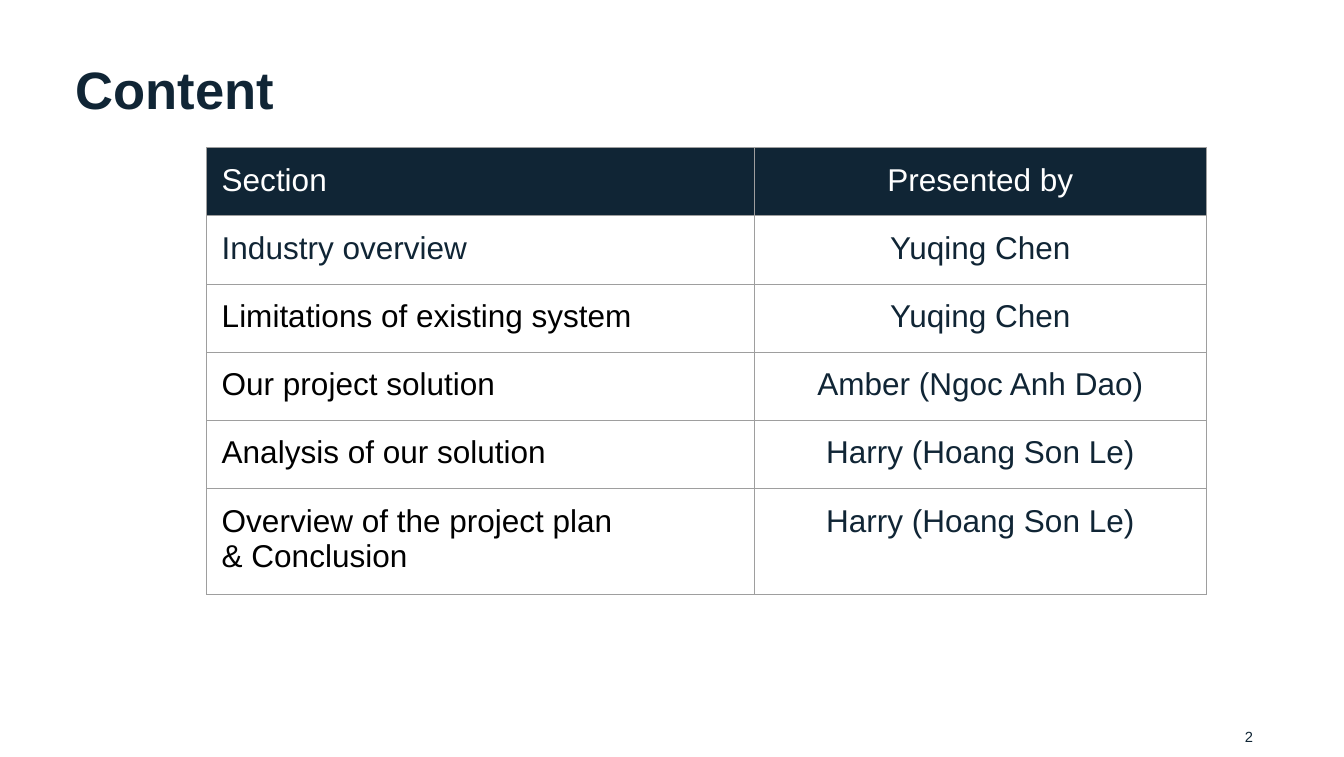
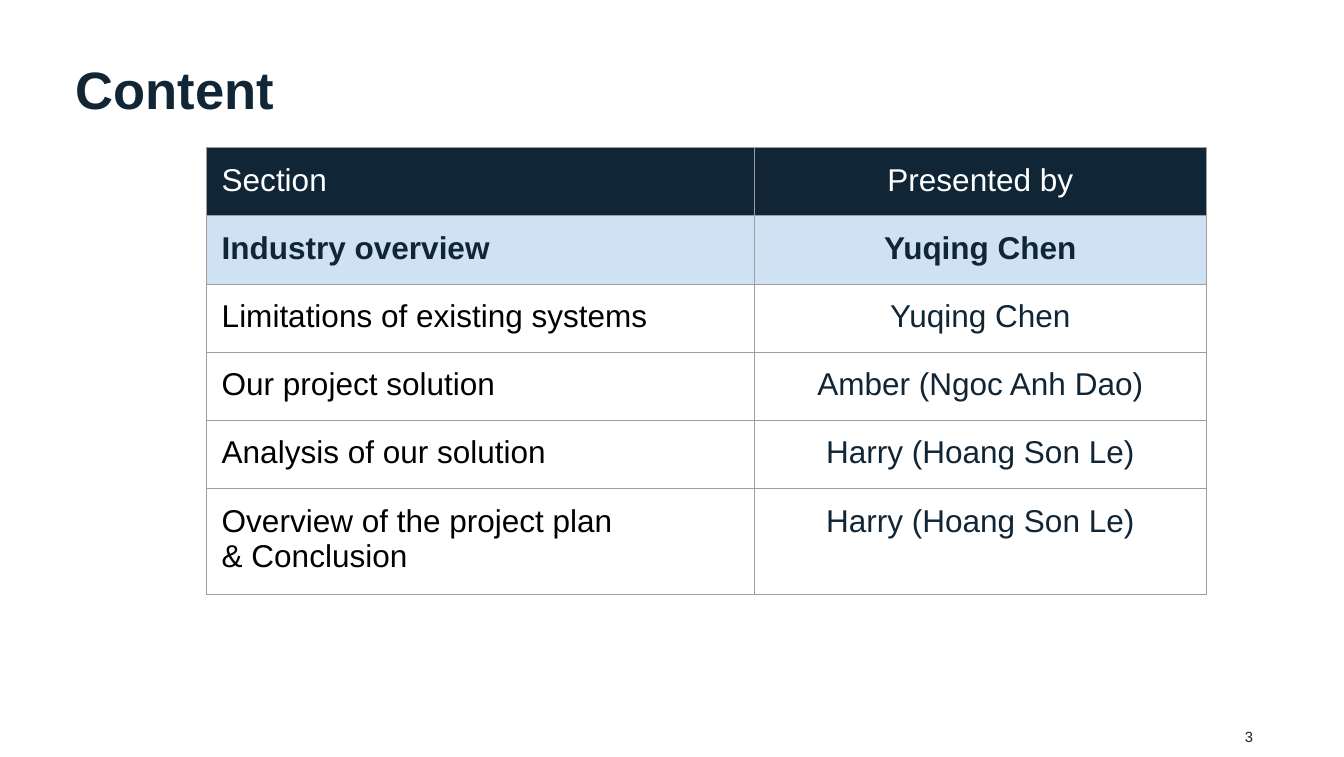
from lxml.etree import SubElement
from pptx import Presentation
from pptx.dml.color import RGBColor
from pptx.enum.text import PP_ALIGN as Align
from pptx.oxml.ns import qn
from pptx.util import Inches, Pt

NAVY = RGBColor(0x10, 0x25, 0x35)
WHITE = RGBColor(0xFF, 0xFF, 0xFF)
BLACK = RGBColor(0x00, 0x00, 0x00)
PALE_BLUE = RGBColor(0xCF, 0xE2, 0xF3)
GRID_GREY = RGBColor(0x9E, 0x9E, 0x9E)

COL_WIDTHS = [Inches(7.24), Inches(5.97)]
ROW_HEIGHT = Inches(0.42)  # minimum; rows grow with their text
CELL_PAD = Inches(0.2)

HEADER = ("Section", "Presented by")
LATER_ROWS = [
    ("Our project solution", "Amber (Ngoc Anh Dao)"),
    ("Analysis of our solution", "Harry (Hoang Son Le)"),
    ("Overview of the project plan\n& Conclusion", "Harry (Hoang Son Le)"),
]
# page number, wording of the limitations row, highlighted row
AGENDAS = [
    (2, "Limitations of existing system", None),
    (3, "Limitations of existing systems", 1),
]


def write(tf, text, size=30, color=NAVY, bold=False, align=Align.LEFT, spacing=None, pad=0):
    """Fill a text frame, one paragraph per line of text."""
    tf.word_wrap = True
    tf.margin_left = tf.margin_right = tf.margin_top = tf.margin_bottom = pad
    for i, line in enumerate(text.split("\n")):
        p = tf.add_paragraph() if i else tf.paragraphs[0]
        p.alignment = align
        p.line_spacing = spacing
        r = p.add_run()
        r.text = line
        r.font.name = "Arial"
        r.font.size = Pt(size)
        r.font.bold = bold
        r.font.color.rgb = color


def style_cell(cell, fill):
    """Draw thin grey borders and a solid or empty fill."""
    tc_pr = cell._tc.get_or_add_tcPr()
    for side in ("a:lnL", "a:lnR", "a:lnT", "a:lnB"):
        ln = SubElement(tc_pr, qn(side), w=str(Pt(0.75)))
        SubElement(SubElement(ln, qn("a:solidFill")), qn("a:srgbClr"), val=str(GRID_GREY))
    if fill is None:
        cell.fill.background()
    else:
        cell.fill.solid()
        cell.fill.fore_color.rgb = fill


prs = Presentation()
prs.slide_width = Inches(17.76)
prs.slide_height = Inches(10)

for page, limitations, current in AGENDAS:
    s = prs.slides.add_slide(prs.slide_layouts[6])

    title = s.shapes.add_textbox(Inches(1), Inches(0.59), Inches(15.55), Inches(1.54))
    write(title.text_frame, "Content", size=50, bold=True, spacing=1.2)

    rows = [HEADER, ("Industry overview", "Yuqing Chen"), (limitations, "Yuqing Chen"), *LATER_ROWS]
    table = s.shapes.add_table(len(rows), len(HEADER), Inches(2.73), Inches(1.95),
                               sum(COL_WIDTHS), ROW_HEIGHT * len(rows)).table
    table.first_row = table.horz_banding = False
    for column, width in zip(table.columns, COL_WIDTHS):
        column.width = width

    for i, row in enumerate(rows):
        table.rows[i].height = ROW_HEIGHT
        fill = NAVY if i == 0 else PALE_BLUE if i == current else None
        for j, text in enumerate(row):
            if i == 0:
                color = WHITE
            elif i == 1 or j == 1:
                color = NAVY
            else:
                color = BLACK
            cell = table.cell(i, j)
            write(cell.text_frame, text, color=color, bold=i == current,
                  align=Align.CENTER if j else Align.LEFT)
            cell.margin_left = cell.margin_right = CELL_PAD
            cell.margin_top = cell.margin_bottom = CELL_PAD
            style_cell(cell, fill)

    number = s.shapes.add_textbox(Inches(12.56), Inches(9.61), Inches(4), Inches(0.37))
    write(number.text_frame, str(page), size=14, align=Align.RIGHT)

prs.save("out.pptx")
